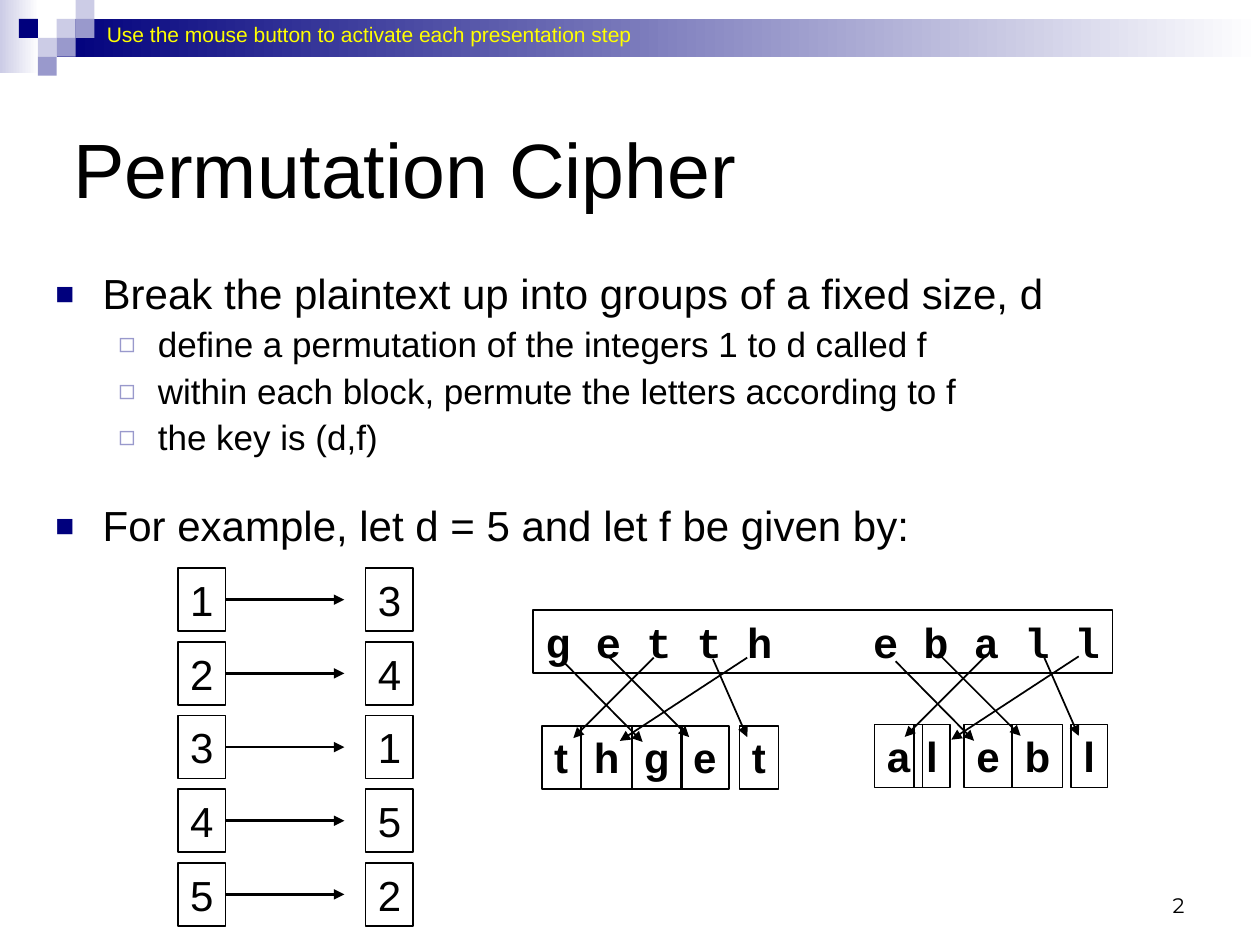
import pptx
import pptx.dml.color
import pptx.enum.shapes
import pptx.enum.text
import pptx.oxml
import pptx.oxml.ns
import pptx.util
from lxml import etree

Pt = pptx.util.Pt
MSO_SHAPE = pptx.enum.shapes.MSO_SHAPE
PP_ALIGN = pptx.enum.text.PP_ALIGN
ANCHOR = pptx.enum.text.MSO_ANCHOR
AUTO_SIZE = pptx.enum.text.MSO_AUTO_SIZE

COLORS = {"navy": "00007D", "violet": "9999CC", "lilac": "CCCCE6",
          "white": "FFFFFF", "black": "000000", "yellow": "FFFF00"}

HINT = "Use the mouse button to activate each presentation step"
TITLE = "Permutation Cipher"
POINTS = [  # level, text, space before
    (0, "Break the plaintext up into groups of a fixed size, d", 6),
    (1, "define a permutation of the integers 1 to d called f", 5),
    (1, "within each block, permute the letters according to f", 5),
    (1, "the key is (d,f)", 5),
    (0, "For example, let d = 5 and let f be given by:", 27),
]
LEVELS = [  # indent, hanging, size, bullet, bullet colour, bullet percent
    (27, 27, 24, "■", "navy", 75),
    (58.5, 22.5, 20, "◻", "violet", 80),
]
PERMUTATION = [(1, 3), (2, 4), (3, 1), (4, 5), (5, 2)]
PLAINTEXT = "g e t t h\te b a l l"
CIPHER_BLOCKS = [  # shift right, shift down, (letter, left, width)
    (0, 0, [("t", 309.6, 22.3), ("h", 332.3, 28.8), ("g", 361, 28.8),
            ("e", 389, 27.4), ("t", 422.6, 22.3)]),
    (189.4, -0.7, [("a", 499.7, 27.4), ("l", 522.2, 20.9), ("e", 550.8, 27.4),
                   ("b", 578.4, 28.8), ("l", 612, 20.9)]),
]
LETTER_ARROWS = [  # within the first block, in order of the plaintext letters
    (322.4, 378.6, 367.2, 424), (348.4, 375.8, 393.8, 421.2),
    (373.6, 375.8, 327.6, 421.8), (407.4, 376.6, 427, 421.2),
    (427, 375.8, 354.2, 423.4),
]

SQUARE = 10.8
SQUARES = [  # column, row, colour
    (3, 1, "lilac"), (4, 0, "lilac"), (4, 1, "violet"), (2, 2, "lilac"),
    (1, 1, "navy"), (3, 2, "violet"), (2, 3, "violet"),
]
BOX_HEIGHT = 36
KEY_TOP, KEY_PITCH = 324.7, 42.1
KEY_LEFT, VALUE_LEFT, KEY_WIDTH, KEY_ARROW_END = 101.5, 208.8, 27.4, 196.8
CIPHER_TOP = 414.7
CHARACTER_WIDTH = 14.4  # Courier New at 24 pt


def rgb(name):
    return pptx.dml.color.RGBColor.from_string(COLORS[name])


def style(paragraph, size, color="black", font="Arial", bold=False):
    paragraph.font.size = Pt(size)
    paragraph.font.name = font
    paragraph.font.bold = bold
    paragraph.font.color.rgb = rgb(color)


def place(shape, left, top, width, height):
    shape.left, shape.top = Pt(left), Pt(top)
    shape.width, shape.height = Pt(width), Pt(height)


def add_sub(parent, tag, **attributes):
    return etree.SubElement(parent, pptx.oxml.ns.qn(tag), attributes)


def add_rectangle(slide, left, top, width, height):
    rectangle = slide.shapes.add_shape(
        MSO_SHAPE.RECTANGLE, Pt(left), Pt(top), Pt(width), Pt(height))
    rectangle.shadow.inherit = False
    rectangle.line.fill.background()
    return rectangle


def add_fade(slide, left, top, width, height, color):
    """Add a band that fades to white on its right."""
    fill = add_rectangle(slide, left, top, width, height).fill
    fill.gradient()
    fill.gradient_angle = 0
    for stop, name in zip(fill.gradient_stops, (color, "white")):
        stop.color.rgb = rgb(name)


def add_text(slide, text, left, top, width, height, size, wrap=False, **font):
    box = slide.shapes.add_textbox(Pt(left), Pt(top), Pt(width), Pt(height))
    box.text_frame.word_wrap = wrap
    box.text_frame.text = text
    style(box.text_frame.paragraphs[0], size, **font)
    return box


def add_box(slide, text, left, top, width, **options):
    box = add_text(slide, text, left, top, width, BOX_HEIGHT, 24, **options)
    box.line.color.rgb = rgb("black")
    box.line.width = Pt(1)
    return box


def add_arrow(slide, x1, y1, x2, y2, width):
    arrow = slide.shapes.add_connector(
        pptx.enum.shapes.MSO_CONNECTOR.STRAIGHT, Pt(x1), Pt(y1), Pt(x2), Pt(y2))
    arrow.line.color.rgb = rgb("black")
    arrow.line.width = Pt(width)
    add_sub(arrow.line._get_or_add_ln(), "a:tailEnd", type="triangle")
    add_sub(arrow._element.spPr, "a:effectLst")
    return arrow


def add_header(slide):
    add_fade(slide, 0, 0, 22.3, 41.8, "lilac")
    add_fade(slide, 3 * SQUARE, SQUARE, 720 - 3 * SQUARE, 2 * SQUARE, "navy")
    for column, row, color in SQUARES:
        square = add_rectangle(
            slide, column * SQUARE, row * SQUARE, SQUARE, SQUARE)
        square.fill.solid()
        square.fill.fore_color.rgb = rgb(color)
    add_text(slide, HINT, 54, 8.6, 314.6, 21.6, 12, color="yellow")


def fill_title(title):
    place(title, 34.6, 41.8, 648, 108)
    title.text_frame.text = TITLE
    title.text_frame.vertical_anchor = ANCHOR.MIDDLE
    heading = title.text_frame.paragraphs[0]
    heading.alignment = PP_ALIGN.LEFT
    style(heading, 44)


def fill_points(body):
    place(body, 24.5, 152.6, 602, 214.6)
    frame = body.text_frame
    frame.auto_size = AUTO_SIZE.NONE
    frame.text = "\n".join(text for _, text, _ in POINTS)
    for point, (level, _, space) in zip(frame.paragraphs, POINTS):
        indent, hanging, size, bullet, color, percent = LEVELS[level]
        point.level = level
        properties = point._p.get_or_add_pPr()
        properties.set("marL", str(Pt(indent)))
        properties.set("indent", str(-Pt(hanging)))
        add_sub(add_sub(properties, "a:buClr"), "a:srgbClr", val=COLORS[color])
        add_sub(properties, "a:buSzPct", val=str(percent * 1000))
        add_sub(properties, "a:buChar", char=bullet)
        point.line_spacing = 0.9
        point.space_before = Pt(space)
        style(point, size)


def add_permutation(slide):
    for row, (key, value) in enumerate(PERMUTATION):
        top = KEY_TOP + row * KEY_PITCH
        middle = top + BOX_HEIGHT / 2
        key_box = add_box(slide, str(key), KEY_LEFT, top, KEY_WIDTH)
        add_box(slide, str(value), VALUE_LEFT, top, KEY_WIDTH)
        arrow = add_arrow(slide, KEY_LEFT + KEY_WIDTH, middle,
                          KEY_ARROW_END, middle, 1.5)
        arrow.begin_connect(key_box, 3)


def add_example(slide):
    plaintext = add_box(slide, PLAINTEXT, 304.6, 348.5, 331.2, wrap=True,
                        font="Courier New", bold=True)
    properties = plaintext.text_frame.paragraphs[0]._p.get_or_add_pPr()
    tabs = pptx.oxml.parse_xml(
        "<a:tabLst %s/>" % pptx.oxml.ns.nsdecls("a"))
    add_sub(tabs, "a:tab", pos=str(Pt(13 * CHARACTER_WIDTH)), algn="l")
    properties.insert(0, tabs)
    for right, down, letters in CIPHER_BLOCKS:
        for letter, left, width in letters:
            add_box(slide, letter, left, CIPHER_TOP + down, width, bold=True)
        for x1, y1, x2, y2 in LETTER_ARROWS:
            add_arrow(slide, x1 + right, y1 + down, x2 + right, y2 + down, 1)


def main():
    deck = pptx.Presentation()
    deck.slide_width, deck.slide_height = Pt(720), Pt(540)
    slide = deck.slides.add_slide(deck.slide_layouts[1])
    add_header(slide)
    fill_title(slide.shapes.title)
    fill_points(slide.placeholders[1])
    add_permutation(slide)
    add_example(slide)
    number = add_text(slide, "2", 516.2, 491.8, 167.8, 36, 12, wrap=True,
                      font="Montserrat")
    number.text_frame.vertical_anchor = ANCHOR.BOTTOM
    number.text_frame.paragraphs[0].alignment = PP_ALIGN.RIGHT
    deck.save("out.pptx")


if __name__ == "__main__":
    main()
